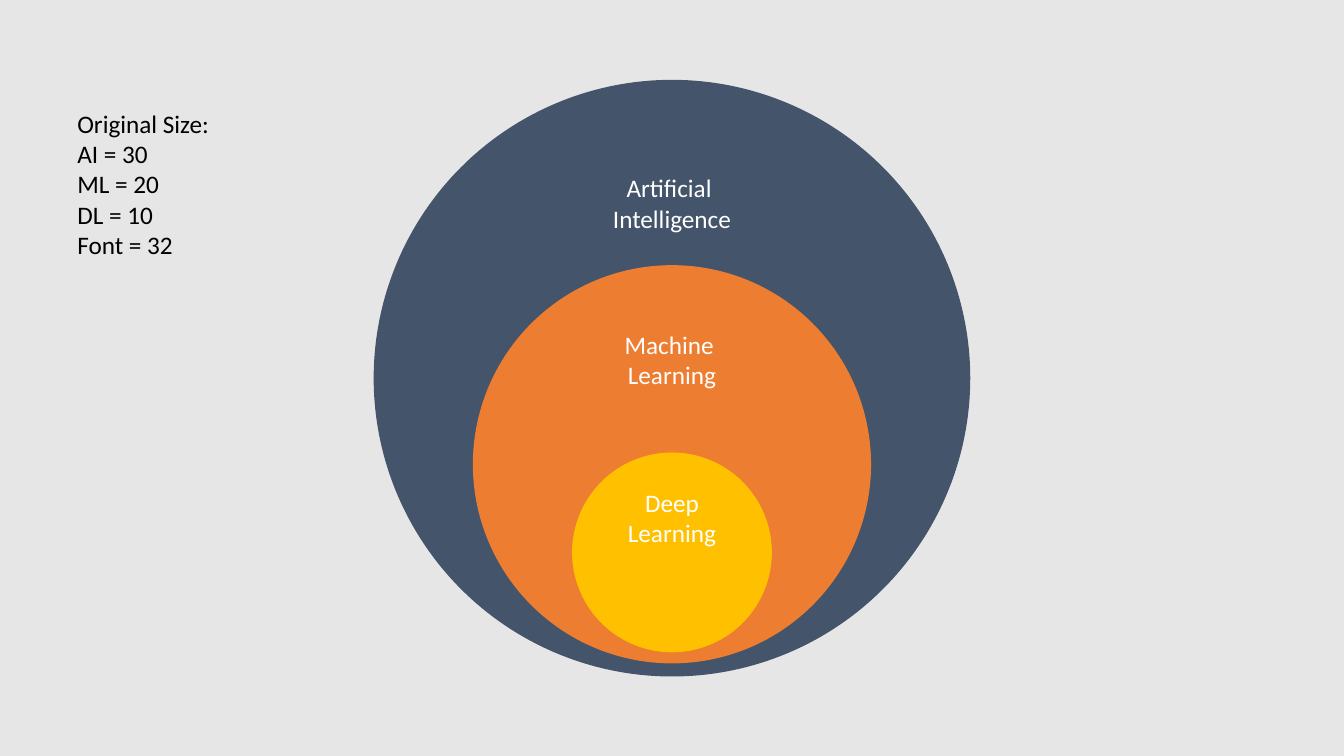
"""Build a slide of nested circles for AI, machine learning and deep learning."""
from pptx import Presentation
from pptx import util as u
from pptx.dml.color import RGBColor
from pptx.enum import shapes, text

COLORS = {
    "background": "E7E6E6",
    "ai": "44546A",
    "ml": "ED7D31",
    "dl": "FFC000",
    "label": "FFFFFF",
    "note": "000000",
}
SLIDE_W, SLIDE_H = 33.87, 19.05
FONT, FONT_SIZE = "Calibri", 18


def rgb(name):
    return RGBColor.from_string(COLORS[name])


def add_lines(tf, lines, color, align):
    tf.word_wrap = True
    tf.vertical_anchor = text.MSO_ANCHOR.TOP
    for i, line in enumerate(lines):
        p = tf.add_paragraph() if i else tf.paragraphs[0]
        p.alignment = align
        r = p.add_run()
        r.text = line
        r.font.name = FONT
        r.font.size = u.Pt(FONT_SIZE)
        r.font.color.rgb = rgb(color)


def add_circle(s, color, top, diameter, lines):
    sp = s.shapes.add_shape(
        shapes.MSO_SHAPE.OVAL,
        u.Cm((SLIDE_W - diameter) / 2), u.Cm(top), u.Cm(diameter), u.Cm(diameter))
    sp.shadow.inherit = False
    sp.fill.solid()
    sp.fill.fore_color.rgb = rgb(color)
    sp.line.color.rgb = rgb(color)
    sp.line.width = u.Pt(1)
    add_lines(sp.text_frame, lines, "label", text.PP_ALIGN.CENTER)


def add_note(s, left, top, width, height, lines):
    sp = s.shapes.add_textbox(u.Cm(left), u.Cm(top), u.Cm(width), u.Cm(height))
    add_lines(sp.text_frame, lines, "note", text.PP_ALIGN.LEFT)
    sp.text_frame.auto_size = text.MSO_AUTO_SIZE.SHAPE_TO_FIT_TEXT


def main():
    prs = Presentation()
    prs.slide_width, prs.slide_height = u.Cm(SLIDE_W), u.Cm(SLIDE_H)
    s = prs.slides.add_slide(prs.slide_layouts[6])
    s.background.fill.solid()
    s.background.fill.fore_color.rgb = rgb("background")

    add_circle(s, "ai", 2.03, 15, ["Artificial ", "Intelligence"])
    add_circle(s, "ml", 6.7, 10, ["Machine ", "Learning"])
    add_circle(s, "dl", 11.42, 5, ["Deep Learning"])
    add_note(s, 1.7, 2.6, 5.23, 4.11,
             ["Original Size:", "AI = 30", "ML = 20", "DL = 10", "Font = 32"])
    prs.save("out.pptx")


main()
